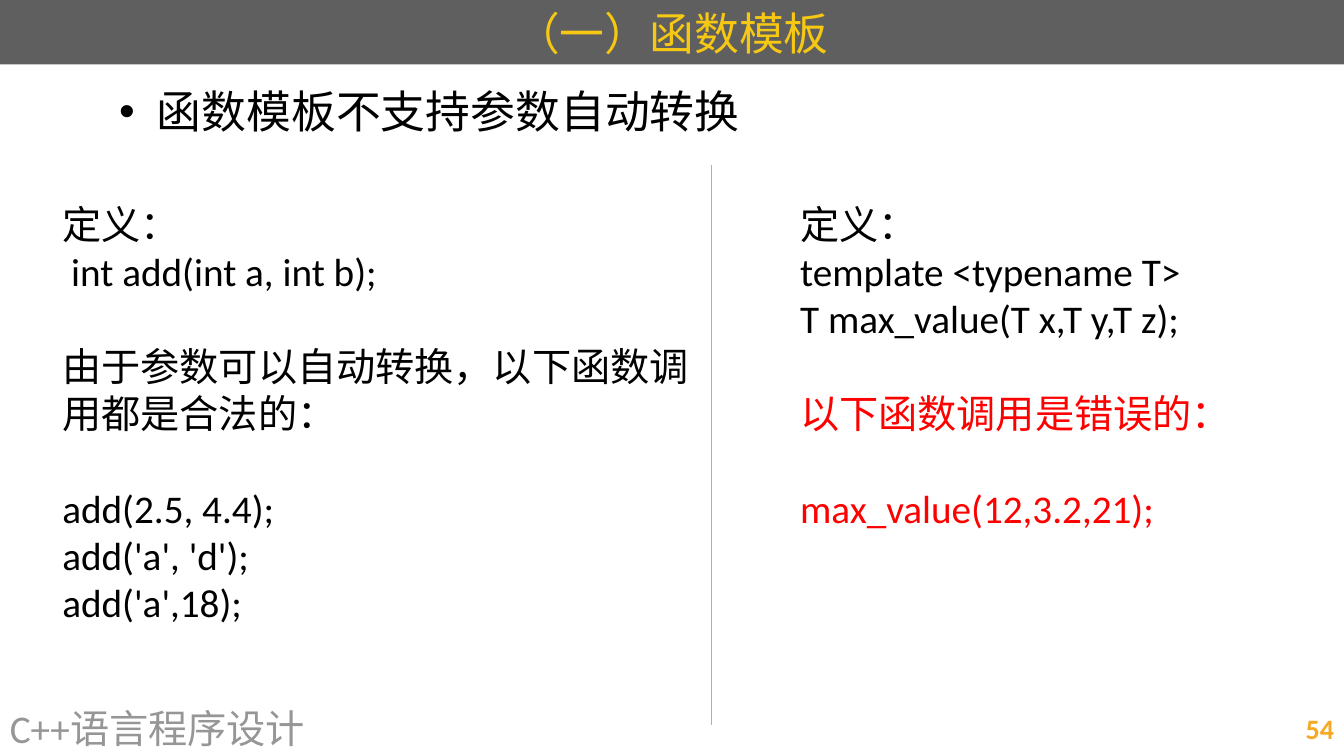
"""Builds a slide on why function templates do not convert arguments."""
from lxml.etree import SubElement
from pptx import Presentation
from pptx.dml.color import RGBColor
from pptx.enum.shapes import MSO_CONNECTOR, MSO_SHAPE
from pptx.enum.text import MSO_ANCHOR as Anchor, PP_ALIGN as Align
from pptx.oxml.ns import qn
from pptx.util import Pt

COLORS = {
    "band": "5F5F5F",
    "title": "F6C813",
    "text": "000000",
    "error": "FF0000",
    "footer": "969696",
    "accent": "F8A720",
}
SLIDE_WIDTH, SLIDE_HEIGHT = 960, 540
CODE_SIZE = 28
LINE_HEIGHT = 34
FOOTER_TOP, FOOTER_HEIGHT = 500.4, 39.6


def rgb(name):
    """Return the named colour."""
    return RGBColor.from_string(COLORS[name])


def style(paragraph, size, color, bold=False):
    """Set the font of a whole paragraph."""
    font = paragraph.font
    font.name, font.size, font.bold = "Calibri", Pt(size), bold
    font.color.rgb = rgb(color)


def add_title(slide, text):
    """Add the title band across the top."""
    band = slide.shapes.add_shape(MSO_SHAPE.RECTANGLE, 0, 0, Pt(SLIDE_WIDTH), Pt(46))
    band.shadow.inherit = False
    band.fill.solid()
    band.fill.fore_color.rgb = rgb("band")
    band.line.fill.background()
    band.text_frame.vertical_anchor = Anchor.MIDDLE
    heading = band.text_frame.paragraphs[0]
    heading.text = text
    heading.alignment = Align.CENTER
    style(heading, 32, "title")


def add_text(slide, left, top, width, height, anchor=Anchor.TOP):
    """Add a wrapping text box and return its frame."""
    box = slide.shapes.add_textbox(Pt(left), Pt(top), Pt(width), Pt(height))
    frame = box.text_frame
    frame.word_wrap = True
    frame.vertical_anchor = anchor
    return frame


def add_footer(slide, left, width, text, size, color, align=Align.LEFT, bold=False):
    """Add one footer entry at the bottom edge."""
    frame = add_text(slide, left, FOOTER_TOP, width, FOOTER_HEIGHT, Anchor.MIDDLE)
    entry = frame.paragraphs[0]
    entry.text = text
    entry.alignment = align
    style(entry, size, color, bold)


def add_bullet(slide, text):
    """Add the bulleted statement under the title."""
    statement = add_text(slide, 78, 60.5, 822, 42.5).paragraphs[0]
    statement.text = text
    statement.line_spacing = 0.9
    properties = statement._p.get_or_add_pPr()
    properties.set("marL", str(Pt(27)))
    properties.set("indent", str(-Pt(27)))
    SubElement(properties, qn("a:buFont"), typeface="Arial")
    SubElement(properties, qn("a:buChar"), char="•")
    style(statement, 32, "text")


def add_example(slide, left, width, height, groups):
    """Add an example whose groups of lines stand one line apart."""
    frame = add_text(slide, left, 139.7, width, height)
    paragraph = None
    for color, lines in groups:
        for number, line in enumerate(lines):
            is_first = paragraph is None
            paragraph = frame.paragraphs[0] if is_first else frame.add_paragraph()
            paragraph.text = line
            if number == 0 and not is_first:
                paragraph.space_before = Pt(LINE_HEIGHT)
            style(paragraph, CODE_SIZE, color)


def add_divider(slide, x, top, bottom):
    """Add the thin line between the two examples."""
    divider = slide.shapes.add_connector(
        MSO_CONNECTOR.STRAIGHT, Pt(x), Pt(top), Pt(x), Pt(bottom))
    divider.line.color.rgb = rgb("accent")
    divider.line.width = Pt(0.75)
    SubElement(divider._element.spPr, qn("a:effectLst"))


def main():
    """Build and save the slide."""
    deck = Presentation()
    deck.slide_width, deck.slide_height = Pt(SLIDE_WIDTH), Pt(SLIDE_HEIGHT)
    slide = deck.slides.add_slide(deck.slide_layouts[6])

    add_title(slide, "（一）函数模板")
    add_footer(slide, 0, 632, "C++语言程序设计", 28, "footer")
    add_footer(slide, 688, 272, "54", 20, "accent", Align.RIGHT, True)
    add_bullet(slide, "函数模板不支持参数自动转换")
    add_example(slide, 37.5, 471, 312.5, [
        ("text", ["定义：", " int add(int a, int b);"]),
        ("text", ["由于参数可以自动转换，以下函数调用都是合法的："]),
        ("text", ["add(2.5, 4.4);", "add('a', 'd');", "add('a',18);"]),
    ])
    add_example(slide, 564.5, 323.5, 245, [
        ("text", ["定义：", "template <typename T>", "T max_value(T x,T y,T z);"]),
        ("error", ["以下函数调用是错误的："]),
        ("error", ["max_value(12,3.2,21);"]),
    ])
    add_divider(slide, 508.3, 118, 517.7)
    deck.save("out.pptx")


if __name__ == "__main__":
    main()
